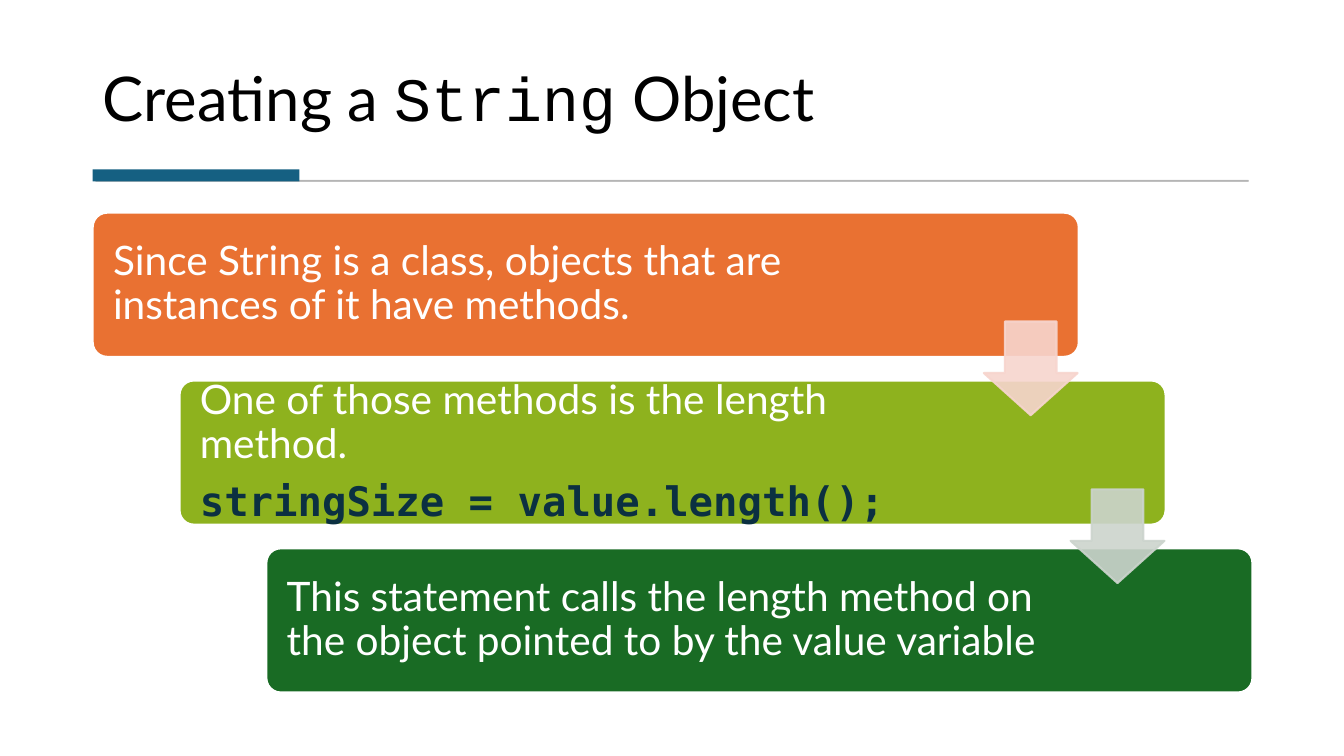
from dataclasses import dataclass

from lxml.etree import SubElement
from pptx import Presentation
from pptx.dml.color import RGBColor
from pptx.enum.shapes import MSO_SHAPE as Preset
from pptx.enum.text import MSO_ANCHOR as Anchor, MSO_AUTO_SIZE as AutoSize, PP_ALIGN as Align
from pptx.oxml.ns import qn
from pptx.util import Inches, Pt

WIDTH, HEIGHT = Inches(13.33), Inches(7.5)
SANS, MONO, TITLE_MONO = "Lato", "DejaVu Sans Mono", "Courier New"
WHITE, BLACK, GRAY, BLUE, NAVY = "FFFFFF", "000000", "595959", "156082", "0B3041"
CARD_LEFT, CARD_TOP = 6.9, 28.13
STEP_ACROSS, STEP_DOWN = 6.46, 22.2
ARROW_ACROSS, ARROW_DOWN = 66.3, 14.4


@dataclass(frozen=True)
class Area:
    """A rectangle in percent of the slide's width and height."""
    left: float
    top: float
    width: float
    height: float

    def lengths(self) -> tuple[int, int, int, int]:
        """Give left, top, width and height as slide lengths."""
        return (int(WIDTH * self.left / 100), int(HEIGHT * self.top / 100),
                int(WIDTH * self.width / 100), int(HEIGHT * self.height / 100))


@dataclass(frozen=True)
class Step:
    """One card of the staircase, with an optional line of code."""
    fill: str
    text: str
    right_inset: float
    code: str = ""


STEPS = [
    Step("E97132", "Since String is a class, objects that are instances of it have methods.", 1.63),
    Step("8EB21E", "One of those methods is the length method.", 1.96,
         "stringSize = value.length();"),
    Step("196B24", "This statement calls the length method on the object pointed to by the "
                   "value variable", 1.96),
]
ARROW_COLORS = ["F7D5CE", "CCD4CD"]


def color(code: str) -> RGBColor:
    """Turn a hex string into a colour."""
    return RGBColor.from_string(code)


def add_box(page, preset, area: Area, fill: str, line: str = "", line_width: float = 1.5,
            opacity: int = 100, adjustments: tuple[float, ...] = ()):
    """Draw a filled preset shape."""
    box = page.shapes.add_shape(preset, *area.lengths())
    box.shadow.inherit = False
    for index, value in enumerate(adjustments):
        box.adjustments[index] = value
    box.fill.solid()
    box.fill.fore_color.rgb = color(fill)
    if line:
        box.line.color.rgb = color(line)
        box.line.width = Pt(line_width)
    else:
        box.line.fill.background()
    if opacity < 100:
        for shade in box._element.spPr.iter(qn("a:srgbClr")):
            SubElement(shade, qn("a:alpha")).set("val", str(opacity * 1000))
    return box


def set_font(font, name: str, size: float, code: str, bold: bool = False) -> None:
    """Format a paragraph's or a span's font."""
    font.name, font.size, font.bold = name, Pt(size), bold
    font.color.rgb = color(code)


def add_title(page) -> None:
    """Fill the title placeholder, with the class name in a fixed-width font."""
    title = page.shapes.title
    title.left, title.top, title.width, title.height = Area(6.9, 3.73, 86.2, 14.8).lengths()
    frame = title.text_frame
    frame.word_wrap, frame.auto_size = True, AutoSize.NONE
    frame.vertical_anchor = Anchor.BOTTOM
    para = frame.paragraphs[0]
    para.alignment, para.line_spacing = Align.LEFT, 0.9
    for text, name in [("Creating a ", SANS), ("String", TITLE_MONO), (" Object", SANS)]:
        span = para.add_run()
        span.text = text
        set_font(span.font, name, 44, BLACK)


def add_card(page, index: int, step: Step) -> None:
    """Draw one card of the staircase with its text."""
    area = Area(CARD_LEFT + index * STEP_ACROSS, CARD_TOP + index * STEP_DOWN, 73.37, 19.07)
    box = add_box(page, Preset.ROUNDED_RECTANGLE, area, step.fill, WHITE, adjustments=(0.1,))
    frame = box.text_frame
    frame.word_wrap, frame.vertical_anchor = True, Anchor.MIDDLE
    frame.margin_left = frame.margin_top = frame.margin_bottom = Inches(0.16)
    frame.margin_right = Inches(step.right_inset)
    frame.text = "\n".join(filter(None, [step.text, step.code]))
    for para, (name, code, bold) in zip(frame.paragraphs,
                                        [(SANS, WHITE, False), (MONO, NAVY, True)]):
        para.alignment, para.line_spacing, para.space_after = Align.LEFT, 0.9, Pt(10)
        set_font(para.font, name, 29, code, bold)


def add_arrow(page, index: int, code: str) -> None:
    """Draw the arrow that leads from one card to the next."""
    area = Area(CARD_LEFT + index * STEP_ACROSS + ARROW_ACROSS,
                CARD_TOP + index * STEP_DOWN + ARROW_DOWN, 6.98, 12.4)
    add_box(page, Preset.DOWN_ARROW, area, code, code, opacity=90, adjustments=(0.55, 0.45))


def main() -> None:
    """Build the slide and save it."""
    deck = Presentation()
    deck.slide_width, deck.slide_height = WIDTH, HEIGHT
    page = deck.slides.add_slide(deck.slide_layouts.get_by_name("Title Only"))
    add_title(page)
    add_box(page, Preset.RECTANGLE, Area(7.13, 23.87, 85.75, 0.13), GRAY, GRAY, 0.75, 30)
    add_box(page, Preset.RECTANGLE, Area(6.9, 22.4, 15.38, 1.6), BLUE)
    for index, step in enumerate(STEPS):
        add_card(page, index, step)
    for index, code in enumerate(ARROW_COLORS):
        add_arrow(page, index, code)
    deck.save("out.pptx")


if __name__ == "__main__":
    main()
